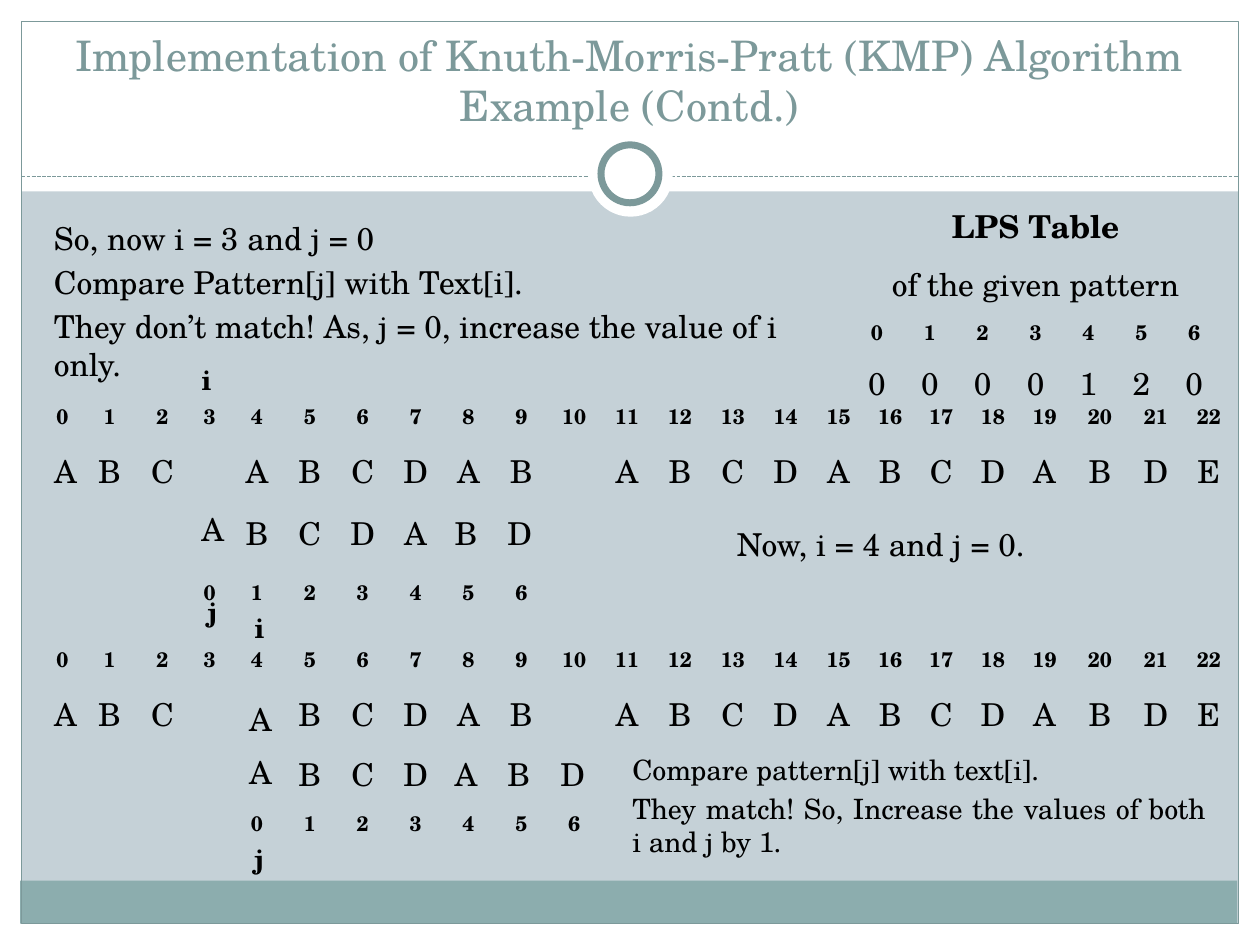
from lxml.etree import SubElement
from pptx import Presentation
from pptx.dml.color import RGBColor
from pptx.enum.dml import MSO_LINE
from pptx.enum.shapes import MSO_CONNECTOR, MSO_SHAPE
from pptx.enum.text import MSO_ANCHOR, MSO_AUTO_SIZE, PP_ALIGN
from pptx.oxml.ns import qn
from pptx.util import Inches, Pt

BLACK = RGBColor(0x00, 0x00, 0x00)
WHITE = RGBColor(0xFF, 0xFF, 0xFF)
BACKGROUND = RGBColor(0xC5, 0xD1, 0xD7)
FOOTER = RGBColor(0x8C, 0xAD, 0xAE)
ACCENT = RGBColor(0x7C, 0x99, 0x9A)

NO_GRID_STYLE = "{2D5ABB26-0587-4C30-8999-92F81FD0307C}"
LEFT, CENTER, JUSTIFY = PP_ALIGN.LEFT, PP_ALIGN.CENTER, PP_ALIGN.JUSTIFY

COL_WIDTHS = [0.33, 0.42, 0.42, 0.33] + [0.42] * 12 + [0.4, 0.41, 0.41, 0.41, 0.47, 0.42, 0.42]
TEXT = list("ABC ABCDAB ABCDABCDABDE")
PATTERN = list("ABCDABD")


class SlideBuilder:
    font = "TeX Gyre Schola"

    def __init__(self, slide):
        self.slide = slide
        self.shapes = slide.shapes

    def background(self, color):
        fill = self.slide.background.fill
        fill.solid()
        fill.fore_color.rgb = color

    def shape(self, kind, box, fill=None, line=None, weight=0.75):
        sp = self.shapes.add_shape(kind, *map(Inches, box))
        sp.shadow.inherit = False
        if fill is None:
            sp.fill.background()
        else:
            sp.fill.solid()
            sp.fill.fore_color.rgb = fill
        if line is None:
            sp.line.fill.background()
        else:
            sp.line.color.rgb = line
            sp.line.width = Pt(weight)

    def dashed_line(self, x1, y1, x2, y2, color):
        cxn = self.shapes.add_connector(MSO_CONNECTOR.STRAIGHT, *map(Inches, (x1, y1, x2, y2)))
        cxn.line.color.rgb = color
        cxn.line.width = Pt(0.75)
        cxn.line.dash_style = MSO_LINE.SQUARE_DOT
        SubElement(cxn._element.spPr, qn("a:effectLst"))

    def format(self, p, size, color=BLACK, bold=False, align=LEFT):
        p.alignment = align
        for r in p.runs:
            r.font.name = self.font
            r.font.size = Pt(size)
            r.font.bold = bold
            r.font.color.rgb = color

    def paragraphs(self, box, lines, size=18, aligns=None):
        """Text box with one paragraph a line, justified unless aligns says otherwise."""
        tf = self.shapes.add_textbox(*map(Inches, box)).text_frame
        tf.word_wrap = True
        tf.text = "\n".join(lines)
        for p, align in zip(tf.paragraphs, aligns or [JUSTIFY] * len(lines)):
            p.space_before = Pt(size * 0.2)
            self.format(p, size, align=align)

    def title(self, box, text):
        tf = self.shapes.add_textbox(*map(Inches, box)).text_frame
        tf.word_wrap = True
        tf.vertical_anchor = MSO_ANCHOR.BOTTOM
        p = tf.paragraphs[0]
        p.text = text
        self.format(p, 24, ACCENT, align=CENTER)

    def label(self, box, text, size, bold):
        tf = self.shapes.add_textbox(*map(Inches, box)).text_frame
        tf.word_wrap = False
        tf.auto_size = MSO_AUTO_SIZE.SHAPE_TO_FIT_TEXT
        tf.text = text
        self.format(tf.paragraphs[0], size, bold=bold)

    def index_label(self, x, y, text):
        self.label((x, y, 0.28, 0.37), text, 16, True)

    def letter(self, x, y, text):
        self.label((x, y, 0.37, 0.4), text, 18, False)

    def table(self, x, y, widths, heights):
        frame = self.shapes.add_table(len(heights), len(widths), Inches(x), Inches(y),
                                      Inches(sum(widths)), Inches(sum(heights)))
        table = frame.table
        table.first_row = table.horz_banding = False
        next(frame._element.iter(qn("a:tableStyleId"))).text = NO_GRID_STYLE
        for column, width in zip(table.columns, widths):
            column.width = Inches(width)
        for row, height in zip(table.rows, heights):
            row.height = Inches(height)
        for cell in table.iter_cells():
            cell.fill.background()
            cell.vertical_anchor = MSO_ANCHOR.MIDDLE
            cell.margin_top = cell.margin_bottom = 0
        return table

    def cells(self, table, row, values, start=0, index=False, left=()):
        """Fill a row from column start; index rows are small and bold."""
        for col, value in enumerate(values, start):
            if str(value).strip():
                p = table.cell(row, col).text_frame.paragraphs[0]
                p.text = str(value)
                self.format(p, 12 if index else 18, bold=index,
                            align=LEFT if col in left else CENTER)

    def match_table(self, y, shift, text, pattern, left, heights):
        """Text with its indices above the pattern, which is moved right by shift."""
        table = self.table(0.33, y, COL_WIDTHS, heights)
        self.cells(table, 0, range(len(text)), index=True)
        self.cells(table, 1, text)
        self.cells(table, 2, pattern, shift, left=left)
        self.cells(table, 3, range(len(pattern)), shift, index=True)

    def lps_table(self, x, y, values):
        table = self.table(x, y, [0.42] * len(values), [0.88, 0.35, 0.46])
        head = table.cell(0, 0)
        head.merge(table.cell(0, len(values) - 1))
        head.text_frame.text = "LPS Table\nof the given pattern"
        name, note = head.text_frame.paragraphs
        self.format(name, 18, bold=True, align=CENTER)
        self.format(note, 18, align=CENTER)
        note.space_before = Pt(6)
        self.cells(table, 1, [0, 1, 2, 3, 4, 5, 6], index=True)
        self.cells(table, 2, values)


def without(letters, position):
    """Letters with the one at position left empty."""
    return letters[:position] + [""] + letters[position + 1:]


def main():
    prs = Presentation()
    prs.slide_width, prs.slide_height = Inches(10), Inches(7.5)
    s = SlideBuilder(prs.slides.add_slide(prs.slide_layouts[6]))

    s.background(BACKGROUND)
    for box in [(0, 7.33, 10, 0.17), (0, 0, 10, 1.52), (0, 0, 0.17, 7.5), (9.83, 0, 0.17, 7.5)]:
        s.shape(MSO_SHAPE.RECTANGLE, box, WHITE)
    s.shape(MSO_SHAPE.RECTANGLE, (0.16, 6.99, 9.66, 0.34), FOOTER)
    s.shape(MSO_SHAPE.RECTANGLE, (0.17, 0.17, 9.66, 7.16), line=ACCENT)
    s.dashed_line(0.17, 1.4, 9.83, 1.4, ACCENT)
    s.shape(MSO_SHAPE.OVAL, (4.67, 1.05, 0.67, 0.67), WHITE)
    s.shape(MSO_SHAPE.OVAL, (4.77, 1.15, 0.46, 0.46), WHITE, ACCENT, 4)

    s.title((0.33, 0.25, 9.33, 0.83),
            "Implementation of Knuth-Morris-Pratt (KMP) Algorithm\vExample (Contd.)")
    s.paragraphs((0.33, 1.69, 6.42, 1.06),
                 ["So, now i = 3 and j = 0",
                  "Compare Pattern[j] with Text[i].",
                  "They don’t match! As, j = 0, increase the value of i only."],
                 aligns=[JUSTIFY, JUSTIFY, LEFT])
    s.lps_table(6.75, 1.58, [0, 0, 0, 0, 1, 2, 0])

    s.match_table(3.12, 3, TEXT, without(PATTERN, 0), (8, 9), [0.37, 0.5, 0.48, 0.46])
    s.index_label(1.5, 2.83, "i")
    s.index_label(1.55, 4.67, "j")
    s.letter(1.5, 4, "A")
    s.paragraphs((5.75, 4.12, 2.83, 0.46), ["Now, i = 4 and j = 0."])

    s.match_table(5.05, 4, without(TEXT, 4), without(PATTERN, 0), (8, 9, 10),
                  [0.37, 0.5, 0.45, 0.32])
    s.index_label(1.92, 4.8, "i")
    s.index_label(1.92, 6.63, "j")
    for y in (5.51, 5.93):
        s.letter(1.88, y, "A")
    s.paragraphs((4.92, 5.92, 4.75, 1.08),
                 ["Compare pattern[j] with text[i].",
                  "They match! So, Increase the values of both i and j by 1."], 16)

    prs.save("out.pptx")


if __name__ == "__main__":
    main()
